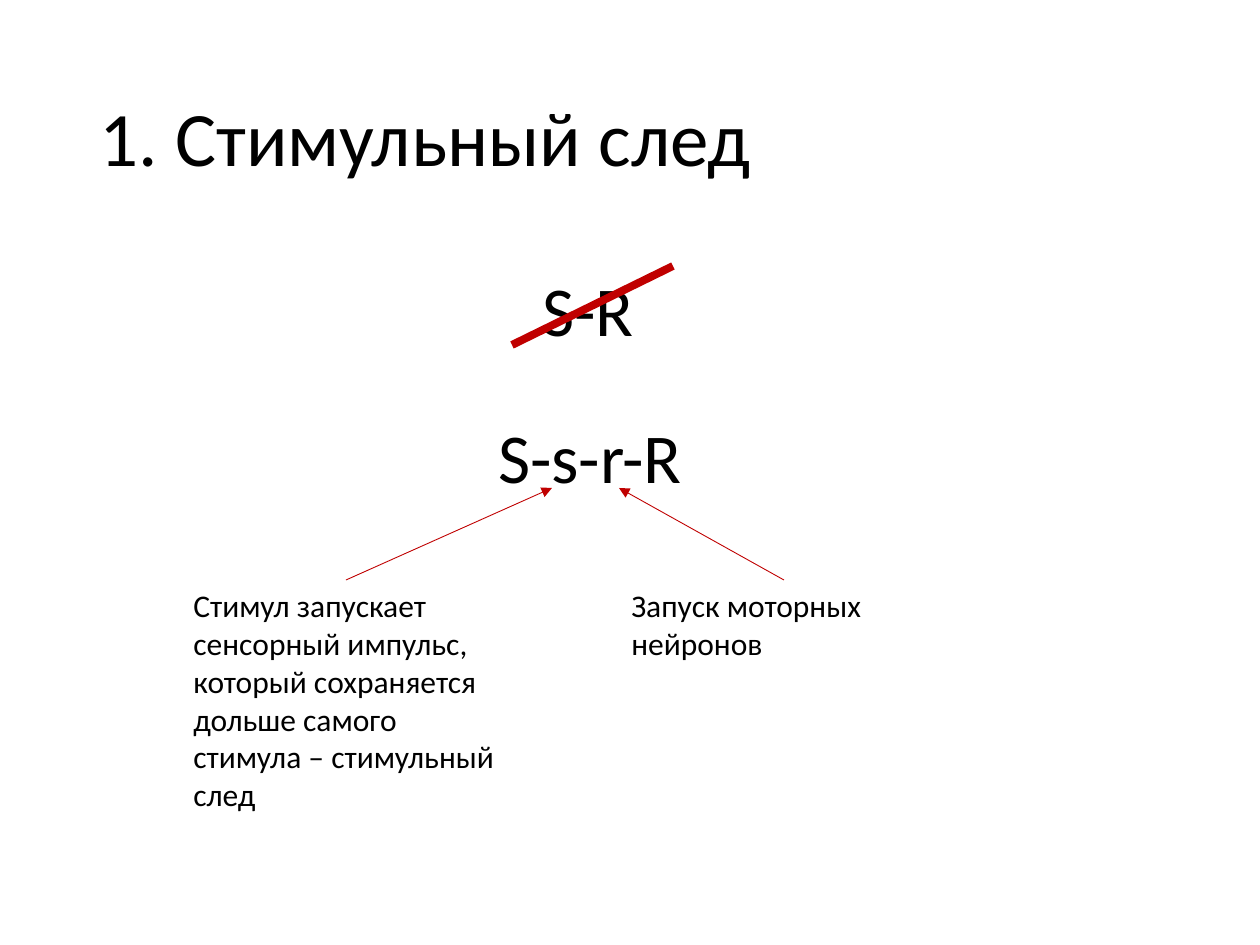
from dataclasses import dataclass

from lxml import etree
from pptx import Presentation
from pptx.dml.color import RGBColor
from pptx.enum.shapes import MSO_CONNECTOR
from pptx.enum.text import MSO_ANCHOR, MSO_AUTO_SIZE, PP_ALIGN
from pptx.oxml.ns import qn
from pptx.slide import Slide
from pptx.text.text import TextFrame
from pptx.util import Emu, Pt

STRAIGHT = MSO_CONNECTOR.STRAIGHT
MIDDLE = MSO_ANCHOR.MIDDLE
LEFT = PP_ALIGN.LEFT
NO_FIT = MSO_AUTO_SIZE.NONE
FIT_SHAPE = MSO_AUTO_SIZE.SHAPE_TO_FIT_TEXT
PX_PER_INCH = 126
NOTE_TOP = 580
NOTE_WIDTH = 330


@dataclass(frozen=True)
class Theme:
    font: str = "Calibri"
    ink: RGBColor = RGBColor(0x00, 0x00, 0x00)
    accent: RGBColor = RGBColor(0xC0, 0x00, 0x00)
    title_size: int = 44
    formula_size: int = 40
    note_size: int = 18
    strike_width: float = 4.5
    arrow_width: float = 0.5


@dataclass(frozen=True)
class Label:
    text: str
    left: int
    top: int
    width: int
    height: int
    size: int
    wrap: bool


@dataclass(frozen=True)
class Stroke:
    start: tuple[int, int]
    end: tuple[int, int]
    width: float
    arrow: bool


THEME = Theme()


def px(length: int) -> Emu:
    return Emu(round(length * 914400 / PX_PER_INCH))


def write(frame: TextFrame, text: str, size: int) -> None:
    paragraph = frame.paragraphs[0]
    paragraph.alignment = LEFT
    run = paragraph.add_run()
    run.text = text
    run.font.name = THEME.font
    run.font.size = Pt(size)
    run.font.color.rgb = THEME.ink


def draw_title(slide: Slide, text: str) -> None:
    title = slide.shapes.title
    title.left, title.top = px(87), px(50)
    title.width, title.height = px(1086), px(183)
    frame = title.text_frame
    frame.vertical_anchor = MIDDLE
    frame.auto_size = NO_FIT
    write(frame, text, THEME.title_size)
    frame.paragraphs[0].line_spacing = 0.9


def draw_label(slide: Slide, label: Label) -> None:
    box = slide.shapes.add_textbox(
        px(label.left), px(label.top), px(label.width), px(label.height))
    frame = box.text_frame
    frame.word_wrap = label.wrap
    frame.auto_size = FIT_SHAPE
    write(frame, label.text, label.size)


def draw_stroke(slide: Slide, stroke: Stroke) -> None:
    connector = slide.shapes.add_connector(
        STRAIGHT, *map(px, stroke.start), *map(px, stroke.end))
    connector.line.color.rgb = THEME.accent
    connector.line.width = Pt(stroke.width)
    if stroke.arrow:
        etree.SubElement(connector.line._get_or_add_ln(), qn("a:tailEnd"), type="triangle")
    etree.SubElement(connector._element.spPr, qn("a:effectLst"))


def note(text: str, left: int, height: int) -> Label:
    return Label(text, left, NOTE_TOP, NOTE_WIDTH, height, THEME.note_size, True)


def arrow_from_note(label: Label, tip_x: int) -> Stroke:
    start = (label.left + label.width // 2, label.top)
    return Stroke(start, (tip_x, 488), THEME.arrow_width, True)


def main() -> None:
    presentation = Presentation()
    presentation.slide_width, presentation.slide_height = px(1260), px(945)
    slide = presentation.slides.add_slide(presentation.slide_layouts[5])

    draw_title(slide, "1. Стимульный след")
    draw_label(slide, Label("S-R", 530, 260, 117, 97, THEME.formula_size, False))
    draw_label(slide, Label("S-s-r-R", 486, 407, 212, 97, THEME.formula_size, False))
    draw_stroke(slide, Stroke((512, 345), (673, 266), THEME.strike_width, False))

    stimulus_trace = note(
        "Стимул запускает сенсорный импульс, который сохраняется дольше "
        "самого стимула – стимульный след", 181, 242)
    motor_neurons = note("Запуск моторных нейронов", 619, 89)
    for explanation, tip_x in ((stimulus_trace, 552), (motor_neurons, 619)):
        draw_label(slide, explanation)
        draw_stroke(slide, arrow_from_note(explanation, tip_x))

    presentation.save("out.pptx")


if __name__ == "__main__":
    main()
